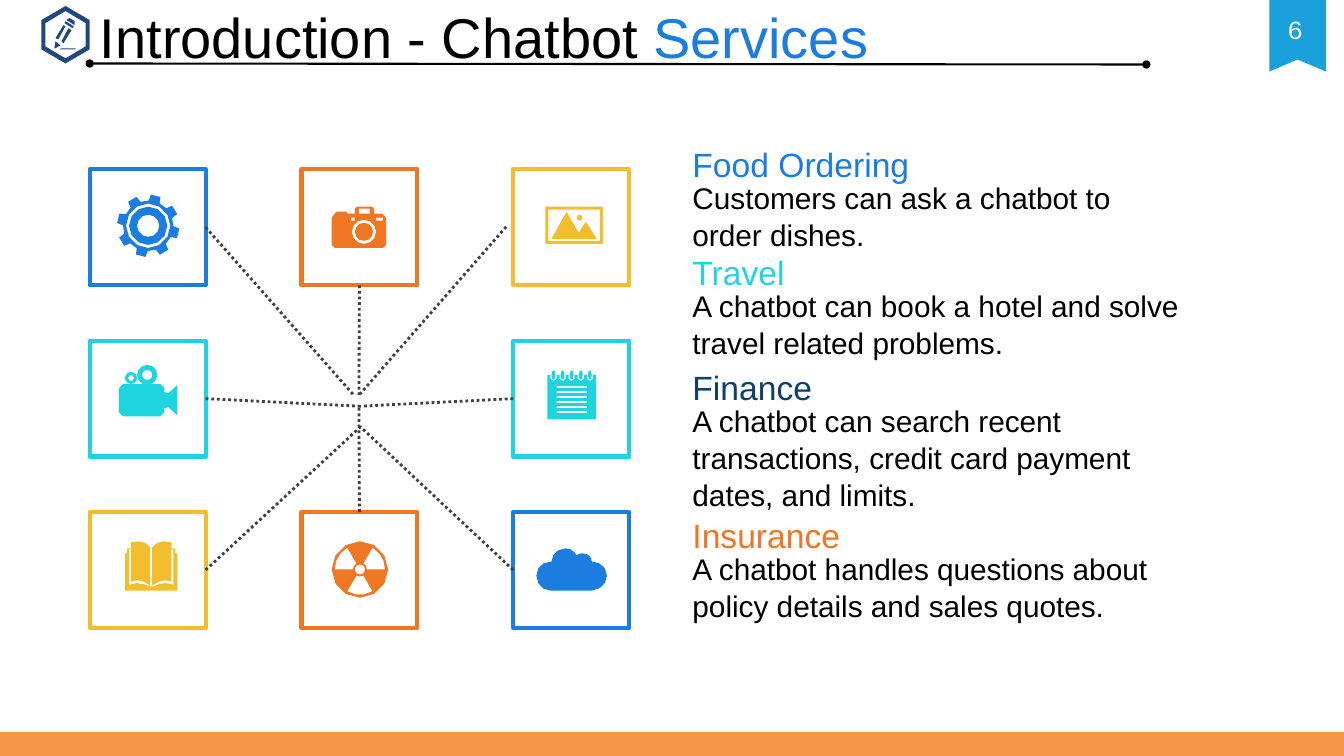
from dataclasses import dataclass
from math import cos, radians, sin

from lxml.etree import SubElement
from pptx import Presentation
from pptx.dml.color import RGBColor
from pptx.enum.dml import MSO_LINE
from pptx.enum.shapes import MSO_CONNECTOR, MSO_SHAPE
from pptx.enum.text import MSO_ANCHOR, MSO_AUTO_SIZE, PP_ALIGN
from pptx.oxml.ns import qn
from pptx.util import Inches, Pt


@dataclass(frozen=True)
class Theme:
    blue: str = "1C7DE1"
    orange: str = "F07624"
    yellow: str = "F4BD2D"
    cyan: str = "1ED4DE"
    navy: str = "0E3E70"
    emblem: str = "1F497D"
    ribbon: str = "1AA0DA"
    footer: str = "F79646"
    black: str = "000000"
    dots: str = "404040"
    pale: str = "F8F8F8"
    font: str = "Arial"
    number_font: str = "Courier New"
    title_size: float = 40
    heading_size: float = 24
    body_size: float = 21.3
    number_size: float = 18.7


theme = Theme()
presentation = Presentation()
presentation.slide_width = Inches(13.33)
presentation.slide_height = Inches(7.5)
slide = presentation.slides.add_slide(presentation.slide_layouts[5])
shapes = slide.shapes


def write_text(shape, text, *, size, colour, font=theme.font, align=PP_ALIGN.LEFT,
               spacing=1.0, top=0.05, auto_size=MSO_AUTO_SIZE.SHAPE_TO_FIT_TEXT):
    frame = shape.text_frame
    frame.word_wrap = True
    frame.auto_size = auto_size
    frame.vertical_anchor = MSO_ANCHOR.TOP
    frame.margin_top = Inches(top)
    paragraph = frame.paragraphs[0]
    paragraph.alignment = align
    paragraph.line_spacing = spacing
    run = paragraph.add_run()
    run.text = text
    run.font.name = font
    run.font.size = Pt(size)
    run.font.color.rgb = RGBColor.from_string(colour)


def draw_outline(colour, contours):
    builder = None
    for contour in contours:
        points = []
        if isinstance(contour, tuple):
            x, y, rx, ry = contour
            turn = 60 if rx < 0.04 else 30
            points = [(x + rx * cos(radians(a)), y + ry * sin(radians(a))) for a in range(0, 360, turn)]
        else:
            for step in contour:
                if len(step) == 2:
                    points.append(step)
                    continue
                curve = [points[-1], step[:2], step[2:4], step[4:]]
                for t in (1 / 3, 2 / 3, 1):
                    weights = ((1 - t) ** 3, 3 * t * (1 - t) ** 2, 3 * t * t * (1 - t), t ** 3)
                    points.append(tuple(sum(w * p[axis] for w, p in zip(weights, curve)) for axis in (0, 1)))
        points = [(Inches(x), Inches(y)) for x, y in points]
        if builder is None:
            builder = shapes.build_freeform(*points[0])
        else:
            builder.move_to(*points[0])
        builder.add_line_segments(points[1:], close=True)
    shape = builder.convert_to_shape()
    shape.shadow.inherit = False
    shape.fill.solid()
    shape.fill.fore_color.rgb = RGBColor.from_string(colour)
    shape.line.fill.background()


draw_outline(theme.ribbon, [[(13.15, 0.71), (12.87, 0.59), (12.59, 0.71), (12.59, 0), (13.15, 0)]])
number = shapes.add_textbox(Inches(12.52), Inches(0.08), Inches(0.65), Inches(0.42))
write_text(number, "6", size=theme.number_size, colour=theme.pale,
           font=theme.number_font, align=PP_ALIGN.CENTER)

footer = shapes.add_shape(MSO_SHAPE.RECTANGLE, 0, Inches(7.27), Inches(13.33), Inches(0.22))
footer.shadow.inherit = False
footer.fill.solid()
footer.fill.fore_color.rgb = footer.line.color.rgb = RGBColor.from_string(theme.footer)
footer.line.width = Pt(1)

title = shapes.title
title.left, title.top, title.width, title.height = Inches(0.89), 0, Inches(10.48), Inches(1.29)
for text, colour in (("Introduction - Chatbot ", theme.black), ("Services", theme.blue)):
    write_text(title, text, size=theme.title_size, colour=colour, top=0.02, auto_size=MSO_AUTO_SIZE.NONE)

services = [
    (1.34, 0.82, theme.blue, "Food Ordering", "Customers can ask a chatbot to order dishes."),
    (2.41, 0.82, theme.cyan, "Travel", "A chatbot can book a hotel and solve travel related problems."),
    (3.55, 1.18, theme.navy, "Finance",
     "A chatbot can search recent transactions, credit card payment dates, and limits."),
    (5.02, 0.82, theme.orange, "Insurance",
     "A chatbot handles questions about policy details and sales quotes."),
]
for top, height, colour, heading, body in services:
    heading_box = shapes.add_textbox(Inches(6.77), Inches(top), Inches(5.04), Inches(0.5))
    write_text(heading_box, heading, size=theme.heading_size, colour=colour, spacing=1.04, top=0.07)
    body_box = shapes.add_textbox(Inches(6.77), Inches(top + 0.36), Inches(5.04), Inches(height))
    write_text(body_box, body, size=theme.body_size, colour=theme.black, spacing=1.04, top=0.07)

frame_colours = [
    (theme.blue, theme.orange, theme.yellow),
    (theme.cyan, None, theme.cyan),
    (theme.yellow, theme.orange, theme.blue),
]
frames = {}
for row, colours in enumerate(frame_colours):
    for column, colour in enumerate(colours):
        if colour is None:
            continue
        frame = shapes.add_shape(MSO_SHAPE.RECTANGLE, Inches(0.89 + 2.1 * column),
                                 Inches(1.68 + 1.7 * row), Inches(1.15), Inches(1.15))
        frame.shadow.inherit = False
        frame.fill.background()
        frame.line.color.rgb = RGBColor.from_string(colour)
        frame.line.width = Pt(3)
        frames[row, column] = frame

spokes = [
    ((0, 1), 2, (3.57, 2.83), (3.56, 3.95)),
    ((2, 1), 0, (3.57, 5.07), (3.56, 4.03)),
    (None, None, (5.02, 2.25), (3.57, 3.91)),
    ((1, 2), 1, (5.09, 3.95), (3.57, 4.03)),
    ((2, 2), 1, (5.09, 5.65), (3.57, 4.23)),
    ((0, 0), 3, (2.05, 2.26), (3.5, 3.91)),
    ((1, 0), 3, (2.05, 3.95), (3.57, 4.03)),
    ((2, 0), 3, (2.05, 5.65), (3.57, 4.24)),
    ("title rule", None, (0.89, 0.63), (11.37, 0.64)),
]
for place, side, start, end in spokes:
    is_rule = place == "title rule"
    connector = shapes.add_connector(MSO_CONNECTOR.STRAIGHT, *map(Inches, start + end))
    if side is not None:
        connector.begin_connect(frames[place], side)
    connector.line.color.rgb = RGBColor.from_string(theme.black if is_rule else theme.dots)
    connector.line.width = Pt(1.5 if is_rule else 2)
    properties = connector.element.spPr
    if is_rule:
        for tag in ("a:headEnd", "a:tailEnd"):
            SubElement(properties.find(qn("a:ln")), qn(tag), type="oval")
    else:
        connector.line.dash_style = MSO_LINE.ROUND_DOT
    SubElement(properties, qn("a:effectLst"))

gear_teeth = [(1.47 + r * sin(radians(14 + 45 * tooth + offset)), 2.24 - r * cos(radians(14 + 45 * tooth + offset)))
              for tooth in range(8) for offset, r in ((-13, 0.25), (-9, 0.31), (9, 0.31), (13, 0.25))]
draw_outline(theme.blue, [gear_teeth] + [(1.47, 2.24, r, r) for r in (0.22, 0.19, 0.11)])

draw_outline(theme.orange, [
    [(3.54, 2.05), (3.69, 2.05), (3.71, 2.07), (3.71, 2.12), (3.79, 2.12), (3.83, 2.16), (3.83, 2.43),
     (3.8, 2.46), (3.32, 2.46), (3.29, 2.43), (3.29, 2.16), (3.32, 2.12), (3.34, 2.1), (3.44, 2.1),
     (3.44, 2.12), (3.52, 2.12), (3.52, 2.07)],
    [(3.56, 2.07), (3.56, 2.12), (3.67, 2.12), (3.67, 2.07)],
    [(3.48, 2.16), (3.48, 2.19), (3.52, 2.19), (3.52, 2.16)],
    [(3.73, 2.16), (3.73, 2.19), (3.8, 2.19), (3.8, 2.16)],
    (3.61, 2.3, 0.12, 0.12), (3.61, 2.3, 0.09, 0.09)])

draw_outline(theme.yellow, [
    [(5.41, 2.05), (5.98, 2.05), (5.98, 2.42), (5.41, 2.42)],
    [(5.44, 2.08), (5.95, 2.08), (5.95, 2.39), (5.44, 2.39)],
    [(5.62, 2.1), (5.74, 2.31), (5.81, 2.2), (5.92, 2.37), (5.47, 2.37)], (5.75, 2.16, 0.03, 0.03)])

draw_outline(theme.cyan, [
    [(1.22, 3.81), (1.59, 3.81), (1.63, 3.85), (1.63, 3.89), (1.67, 3.9), (1.76, 3.82), (1.76, 4.12),
     (1.67, 4.04), (1.63, 4.05), (1.63, 4.09), (1.59, 4.13), (1.22, 4.13), (1.18, 4.09), (1.18, 3.85)]])
draw_outline(theme.cyan, [(1.3, 3.75, 0.06, 0.06), (1.3, 3.75, 0.03, 0.03),
                          (1.46, 3.72, 0.1, 0.1), (1.46, 3.72, 0.05, 0.05)])

notepad = [[(5.43, 3.72), (5.91, 3.72), (5.91, 4.16), (5.43, 4.16)]]
for x in (5.49 + 0.09 * ring for ring in range(5)):
    notepad += [[(x - 0.03, 3.72), (x - 0.03, 3.76), (x, 3.78), (x + 0.03, 3.76), (x + 0.03, 3.72)],
                (x, 3.72, 0.02, 0.05)]
for y in (3.83 + 0.05 * line for line in range(6)):
    notepad.append([(5.52, y), (5.82, y), (5.82, y + 0.02), (5.52, y + 0.02)])
draw_outline(theme.cyan, notepad)

draw_outline(theme.yellow, [
    [(1.24, 5.49), (1.26, 5.49), (1.26, 5.44), (1.3, 5.44), (1.3, 5.38), (1.38, 5.36, 1.45, 5.37, 1.49, 5.43),
     (1.49, 5.81), (1.43, 5.76, 1.36, 5.74, 1.3, 5.77), (1.3, 5.45), (1.28, 5.45), (1.28, 5.8),
     (1.37, 5.77, 1.42, 5.79, 1.49, 5.82), (1.51, 5.82), (1.59, 5.79, 1.63, 5.77, 1.72, 5.8), (1.72, 5.45),
     (1.7, 5.45), (1.7, 5.77), (1.64, 5.74, 1.57, 5.76, 1.51, 5.81), (1.51, 5.43),
     (1.55, 5.37, 1.62, 5.36, 1.7, 5.38), (1.7, 5.44), (1.74, 5.44), (1.74, 5.49), (1.76, 5.49),
     (1.76, 5.86), (1.24, 5.86)]])

fan_gaps = [[(3.57 + r * cos(radians(start + a)), 5.65 + r * sin(radians(start + a)))
             for r, a in ((0.25, 0), (0.25, 20), (0.25, 40), (0.25, 60), (0.07, 60), (0.07, 30), (0.07, 0))]
            for start in (-60, 60, 180)]
draw_outline(theme.orange, [(3.57, 5.65, 0.28, 0.28), (3.57, 5.65, 0.05, 0.05)] + fan_gaps)

draw_outline(theme.blue, [
    [(5.61, 5.44), (5.66, 5.44, 5.7, 5.47, 5.72, 5.51), (5.74, 5.49, 5.76, 5.49, 5.78, 5.49),
     (5.83, 5.49, 5.87, 5.52, 5.87, 5.57), (5.95, 5.57, 6.02, 5.63, 6.02, 5.71),
     (6.02, 5.79, 5.96, 5.85, 5.87, 5.86), (5.46, 5.86), (5.38, 5.86, 5.32, 5.79, 5.32, 5.71),
     (5.32, 5.63, 5.38, 5.57, 5.47, 5.57), (5.47, 5.5, 5.53, 5.44, 5.61, 5.44)]])

draw_outline(theme.emblem, [
    [(0.65, 0.06), (0.89, 0.2), (0.89, 0.49), (0.65, 0.63), (0.41, 0.49), (0.41, 0.2)],
    [(0.65, 0.11), (0.85, 0.23), (0.85, 0.46), (0.65, 0.58), (0.45, 0.46), (0.45, 0.23)],
    [(0.6, 0.48), (0.75, 0.48), (0.75, 0.49), (0.6, 0.49)],
    [(0.61, 0.41), (0.68, 0.28), (0.71, 0.3), (0.63, 0.43)],
    [(0.55, 0.38), (0.63, 0.25), (0.65, 0.26), (0.58, 0.39)],
    [(0.54, 0.48), (0.55, 0.41), (0.6, 0.45), (0.55, 0.48)],
    [(0.65, 0.21), (0.64, 0.23), (0.72, 0.28), (0.73, 0.26)],
    [(0.67, 0.19), (0.69, 0.18), (0.74, 0.21), (0.74, 0.25), (0.66, 0.2)]])

presentation.save("out.pptx")
